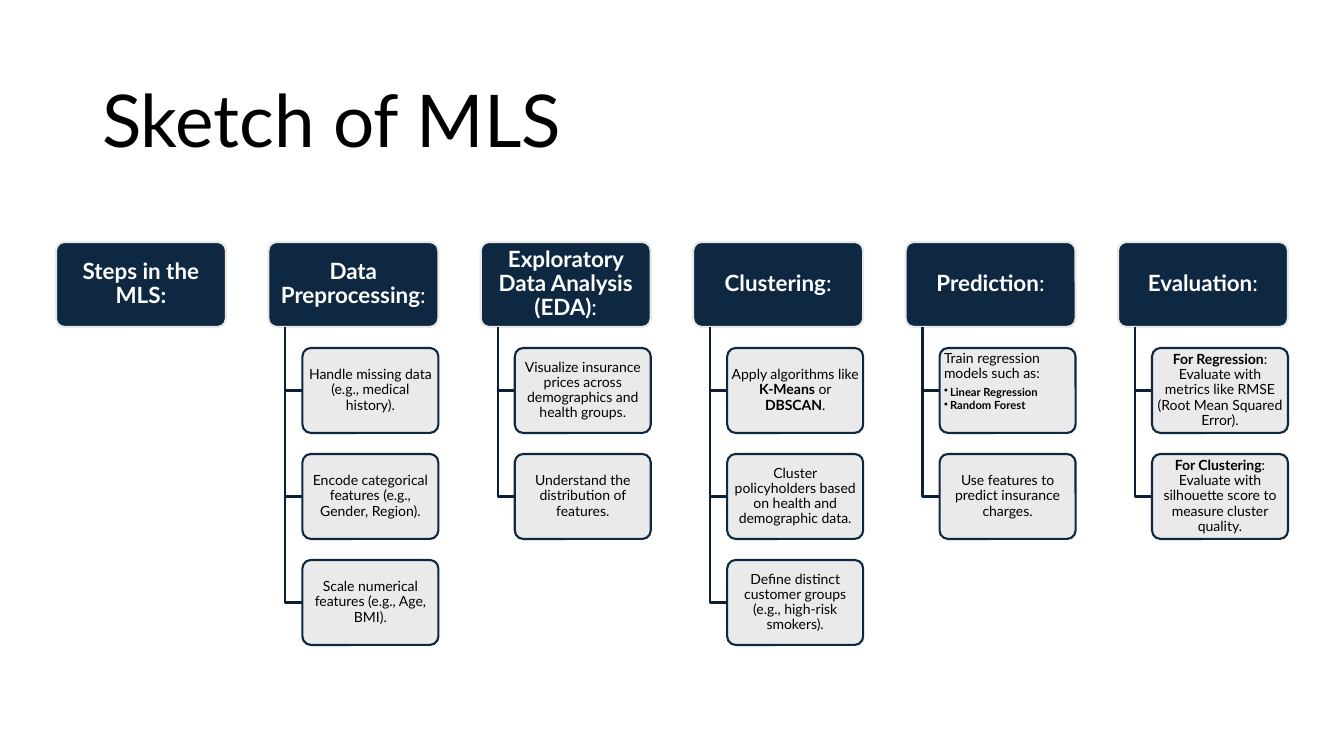
"""Build the slide that sketches the steps of the MLS as six columns of boxes."""
from lxml.etree import SubElement
from pptx import Presentation
from pptx.dml.color import RGBColor
from pptx.enum.shapes import MSO_SHAPE
from pptx.enum.text import MSO_ANCHOR, MSO_AUTO_SIZE, PP_ALIGN
from pptx.oxml.ns import qn
from pptx.util import Pt

TITLE = "Sketch of MLS"
STEPS = [
    ("**Steps in the MLS:**", []),
    ("**Data Preprocessing**:", [
        ["Handle missing data (e.g., medical history)."],
        ["Encode categorical features (e.g., Gender, Region)."],
        ["Scale numerical features (e.g., Age, BMI)."],
    ]),
    ("**Exploratory Data Analysis (EDA)**:", [
        ["Visualize insurance prices across demographics and health groups."],
        ["Understand the distribution of features."],
    ]),
    ("**Clustering**:", [
        ["Apply algorithms like **K-Means** or **DBSCAN**."],
        ["Cluster policyholders based on health and demographic data."],
        ["Define distinct customer groups (e.g., high-risk smokers)."],
    ]),
    ("**Prediction**:", [
        ["Train regression models such as:", "**Linear Regression**", "**Random Forest**"],
        ["Use features to predict insurance charges."],
    ]),
    ("**Evaluation**:", [
        ["**For Regression**: Evaluate with metrics like RMSE (Root Mean Squared Error)."],
        ["**For Clustering**: Evaluate with silhouette score to measure cluster quality."],
    ]),
]
COLORS = {"navy": "0E2841", "stem": "0B2034", "gray": "E8E8E8", "white": "FFFFFF", "black": "000000"}
FONT = "Lato"

SCALE = 914400 / 100.8
FIRST_LEFT, LAST_LEFT = 56, 1118
HEAD_TOP, HEAD_WIDTH, BOX_HEIGHT = 242, 170, 85
ITEM_TOP, ITEM_PITCH, ITEM_INDENT, STEM_INDENT = 348, 106, 34, 17
BULLET_INDENT = 6


def px(length):
    return round(length * SCALE)


def color(name):
    return RGBColor.from_string(COLORS[name])


def write(para, text, size, ink="black", align=PP_ALIGN.LEFT, after=0.35, bullet=False):
    para.alignment = align
    para.line_spacing = 0.9
    para.space_before = Pt(0)
    para.space_after = Pt(size * after)
    if bullet:
        properties = para._p.get_or_add_pPr()
        properties.set("marL", str(px(BULLET_INDENT)))
        properties.set("indent", str(-px(BULLET_INDENT)))
        SubElement(properties, qn("a:buChar")).set("char", "•")
    for index, part in enumerate(text.split("**")):
        if part:
            span = para.add_run()
            span.text = part
            span.font.name = FONT
            span.font.size = Pt(size)
            span.font.bold = index % 2 == 1
            span.font.color.rgb = color(ink)


def add_box(page, left, top, width, fill, line, margin, alpha=None):
    box = page.shapes.add_shape(MSO_SHAPE.ROUNDED_RECTANGLE, px(left), px(top), px(width), px(BOX_HEIGHT))
    box.adjustments[0] = 0.1
    box.shadow.inherit = False
    box.fill.solid()
    box.fill.fore_color.rgb = color(fill)
    if alpha:
        tint = box.element.spPr.find(qn("a:solidFill")).find(qn("a:srgbClr"))
        SubElement(tint, qn("a:alpha")).set("val", str(alpha * 1000))
    box.line.color.rgb = color(line)
    box.line.width = Pt(1.5)
    frame = box.text_frame
    frame.word_wrap = True
    frame.vertical_anchor = MSO_ANCHOR.MIDDLE
    frame.margin_left = frame.margin_right = px(margin)
    frame.margin_top = frame.margin_bottom = px(margin - 1)
    return frame


def add_elbow(page, left, top, right, bottom):
    builder = page.shapes.build_freeform(px(left), px(top))
    builder.add_line_segments([(px(left), px(bottom)), (px(right), px(bottom))], close=False)
    elbow = builder.convert_to_shape()
    elbow.shadow.inherit = False
    elbow.fill.background()
    elbow.line.color.rgb = color("stem")
    elbow.line.width = Pt(1.5)


def add_item(page, left, top, lines):
    frame = add_box(page, left, top, HEAD_WIDTH - ITEM_INDENT, "gray", "navy", 2, alpha=90)
    lead, *bullets = lines
    if bullets:
        frame.vertical_anchor = MSO_ANCHOR.TOP
    write(frame.paragraphs[0], lead, 10, align=PP_ALIGN.LEFT if bullets else PP_ALIGN.CENTER)
    for text in bullets:
        para = frame.add_paragraph()
        para.level = 1
        write(para, text, 8, after=0.15, bullet=True)


def add_step(page, left, heading, items):
    frame = add_box(page, left, HEAD_TOP, HEAD_WIDTH, "navy", "gray", 3)
    write(frame.paragraphs[0], heading, 16, ink="white", align=PP_ALIGN.CENTER)
    for row, lines in enumerate(items):
        top = ITEM_TOP + row * ITEM_PITCH
        item_left = left + ITEM_INDENT
        add_elbow(page, left + STEM_INDENT, HEAD_TOP + BOX_HEIGHT, item_left, top + BOX_HEIGHT / 2)
        add_item(page, item_left, top, lines)


def main():
    deck = Presentation()
    deck.slide_width, deck.slide_height = px(1344), px(756)
    page = deck.slides.add_slide(deck.slide_layouts[5])

    title = page.shapes.title
    title.left, title.top, title.width, title.height = px(92), px(61), px(1159), px(125)
    title.text_frame.auto_size = MSO_AUTO_SIZE.NONE
    title.text_frame.vertical_anchor = MSO_ANCHOR.MIDDLE
    write(title.text_frame.paragraphs[0], TITLE, 52, after=0)

    pitch = (LAST_LEFT - FIRST_LEFT) / (len(STEPS) - 1)
    for column, (heading, items) in enumerate(STEPS):
        add_step(page, FIRST_LEFT + column * pitch, heading, items)

    deck.save("out.pptx")


if __name__ == "__main__":
    main()
